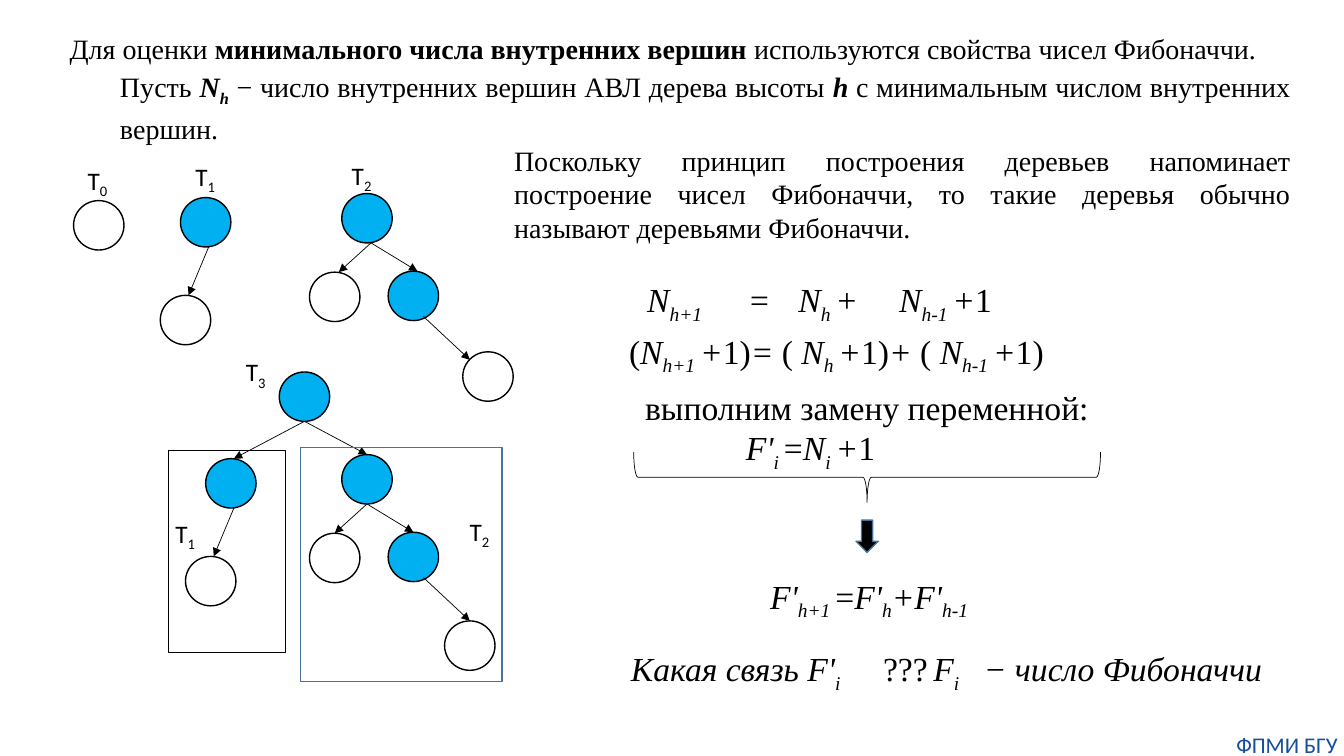
from itertools import groupby
from pptx import Presentation
from pptx.dml.color import RGBColor
from pptx.enum.shapes import MSO_CONNECTOR as Link, MSO_SHAPE as Form
from pptx.enum.text import MSO_ANCHOR as Anchor, MSO_AUTO_SIZE as Fit, PP_ALIGN as Align
from pptx.oxml.ns import qn
from pptx.util import Inches, Pt
from lxml.etree import SubElement as Sub

BLACK, BLUE, EDGE, NAVY = "000000", "00B0F0", "43739E", "144E9D"
SERIF, SANS = "Times New Roman", "Calibri"


def tint(code):
    return RGBColor.from_string(code)


def write(par, text, size=24, face=SERIF, color=BLACK, align=Align.LEFT,
          indent=0, tabs=(), space=None):
    """Marks toggle a style: * bold, / italic, _ subscript."""
    par.alignment = align
    if space:
        par.line_spacing = space
    props = par._p.get_or_add_pPr()
    props.set("marL", str(Inches(indent)))
    props.set("indent", "0")
    if tabs:
        stops = Sub(props, qn("a:tabLst"))
        for stop in tabs:
            Sub(stops, qn("a:tab"), pos=str(Inches(stop)), algn="l")
    style = set()
    for mark, part in groupby(text, lambda sign: sign in "*/_"):
        chunk = "".join(part)
        if mark:
            style ^= set(chunk)
            continue
        run = par.add_run()
        run.text = chunk
        font = run.font
        font.size, font.name = Pt(size), face
        font.bold, font.italic = "*" in style, "/" in style
        font.color.rgb = tint(color)
        if "_" in style:
            font._element.set("baseline", "-25000")


class Board:
    def __init__(self, slide):
        self.slide = slide
        self.shapes = slide.shapes

    def frame(self, box, wrap=True, inset=None):
        frame = box.text_frame
        frame.word_wrap = wrap
        frame.auto_size = Fit.NONE
        frame.vertical_anchor = Anchor.TOP
        if inset is not None:
            frame.margin_left = frame.margin_right = Inches(inset)
            frame.margin_top = frame.margin_bottom = 0
        return frame

    def title(self, place, *lines):
        box = self.shapes.title
        box.left, box.top, box.width, box.height = map(Inches, place)
        frame = self.frame(box, inset=0.1)
        for order, (text, indent) in enumerate(lines):
            par = frame.add_paragraph() if order else frame.paragraphs[0]
            write(par, text, size=20, align=Align.JUSTIFY, indent=indent, space=1.12)

    def text(self, place, text, wrap=True, inset=None, **fmt):
        box = self.shapes.add_textbox(*map(Inches, place))
        frame = self.frame(box, wrap, inset)
        write(frame.paragraphs[0], text, **fmt)
        return frame

    def label(self, x, y, sign):
        self.text((x, y, 0.41, 0.4), f"T_{sign}_", wrap=False, size=18, face=SANS)

    def shape(self, form, place, fill=None, line=BLACK, width=1, turn=0):
        item = self.shapes.add_shape(form, *map(Inches, place))
        item.shadow.inherit = False
        item.rotation = turn
        if fill:
            item.fill.solid()
            item.fill.fore_color.rgb = tint(fill)
        else:
            item.fill.background()
        item.line.color.rgb = tint(line)
        item.line.width = Pt(width)

    def node(self, x, y, fill=None):
        self.shape(Form.OVAL, (x, y, 0.5, 0.49), fill)

    def arrow(self, *ends):
        item = self.shapes.add_connector(Link.STRAIGHT, *map(Inches, ends))
        item.line.color.rgb = tint(BLACK)
        item.line.width = Pt(0.5)
        Sub(item.line._ln, qn("a:tailEnd"), type="triangle")
        Sub(item._element.spPr, qn("a:effectLst"))

    def small(self, x, y):
        self.node(x, y, BLUE)
        self.node(x - 0.2, y + 0.97)
        self.arrow(x + 0.28, y + 0.49, x + 0.08, y + 0.97)

    def large(self, x, y, slip, leaf):
        self.node(x, y, BLUE)
        self.node(x - 0.32, y + 0.78)
        self.node(x + 0.46, y + 0.77, BLUE)
        self.node(*leaf)
        fork = x + 0.25 + slip
        self.arrow(fork, y + 0.49, fork - 0.32, y + 0.78)
        self.arrow(fork, y + 0.49, fork + 0.46, y + 0.77)
        self.arrow(x + 0.81, y + 1.22, x + 1.27, y + 1.65)


def main():
    deck = Presentation()
    deck.slide_width, deck.slide_height = Inches(13.33), Inches(7.5)
    board = Board(deck.slides.add_slide(deck.slide_layouts[5]))

    board.title(
        (0.59, 0.27, 12.31, 1.2),
        ("Для оценки *минимального числа внутренних вершин* "
         "используются свойства чисел Фибоначчи.", 0),
        ("Пусть */N_h_/* − число внутренних вершин АВЛ дерева высоты "
         "*/h/* с минимальным числом внутренних вершин.", 0.5))
    board.text(
        (4.5, 1.37, 8.4, 1.11),
        "Поскольку принцип построения деревьев напоминает построение чисел "
        "Фибоначчи, то такие деревья обычно называют деревьями Фибоначчи.",
        size=20, align=Align.JUSTIFY, indent=0.5)

    board.node(0.73, 1.99)
    board.small(1.79, 1.96)
    board.large(3.39, 1.92, 0.04, (4.59, 3.49))

    board.node(2.77, 3.69, BLUE)
    board.arrow(3.02, 4.18, 2.32, 4.55)
    board.arrow(3.02, 4.18, 3.64, 4.51)
    board.small(2.04, 4.55)
    board.large(3.39, 4.51, 0, (4.41, 6.16))
    board.shape(Form.RECTANGLE, (1.67, 4.47, 1.16, 2), width=0.75)
    board.shape(Form.RECTANGLE, (2.98, 4.44, 2, 2.32), line=EDGE)

    for x, y, sign in ((0.77, 1.59, 0), (1.84, 1.55, 1), (3.39, 1.54, 2),
                       (2.34, 3.49, 3), (1.64, 5.09, 1), (4.56, 5.07, 2)):
        board.label(x, y, sign)

    board.text((6.16, 2.72, 4.51, 0.5), "/N_h+1_\t=\tN_h _+\tN_h-1 _+/1",
               indent=0.16, tabs=(1.26, 1.64, 2.98))
    board.text((6.14, 3.23, 4.48, 0.5),
               "(/N_h+1 _+/1)/=/ ( /N_h _+/1)/+/ ( /N_h-1 _+/1)")
    swap = board.text((6.3, 3.79, 4.78, 0.91), "выполним замену переменной:")
    write(swap.add_paragraph(), "/F'_i _/=/N_i _+/1", indent=1)
    board.shape(Form.RIGHT_BRACE, (8.35, 2.42, 0.5, 4.63), width=0.5, turn=90)
    board.shape(Form.DOWN_ARROW, (8.49, 5.16, 0.22, 0.32), BLACK, EDGE)
    board.text((7.54, 5.66, 2.29, 0.5), "/F'_h+1 _/=/F'_h_+F'_h-1_/")
    board.text((6.16, 6.38, 6.61, 0.5),
               "/Какая связь F'_i_/\t???\t/F_i_\t− число Фибоначчи/",
               tabs=(2.29, 2.9, 3.36))
    board.text((12.2, 7.25, 1.13, 0.27), "ФПМИ БГУ", inset=0, size=16,
               face=SANS, color=NAVY, align=Align.CENTER)
    deck.save("out.pptx")


if __name__ == "__main__":
    main()
